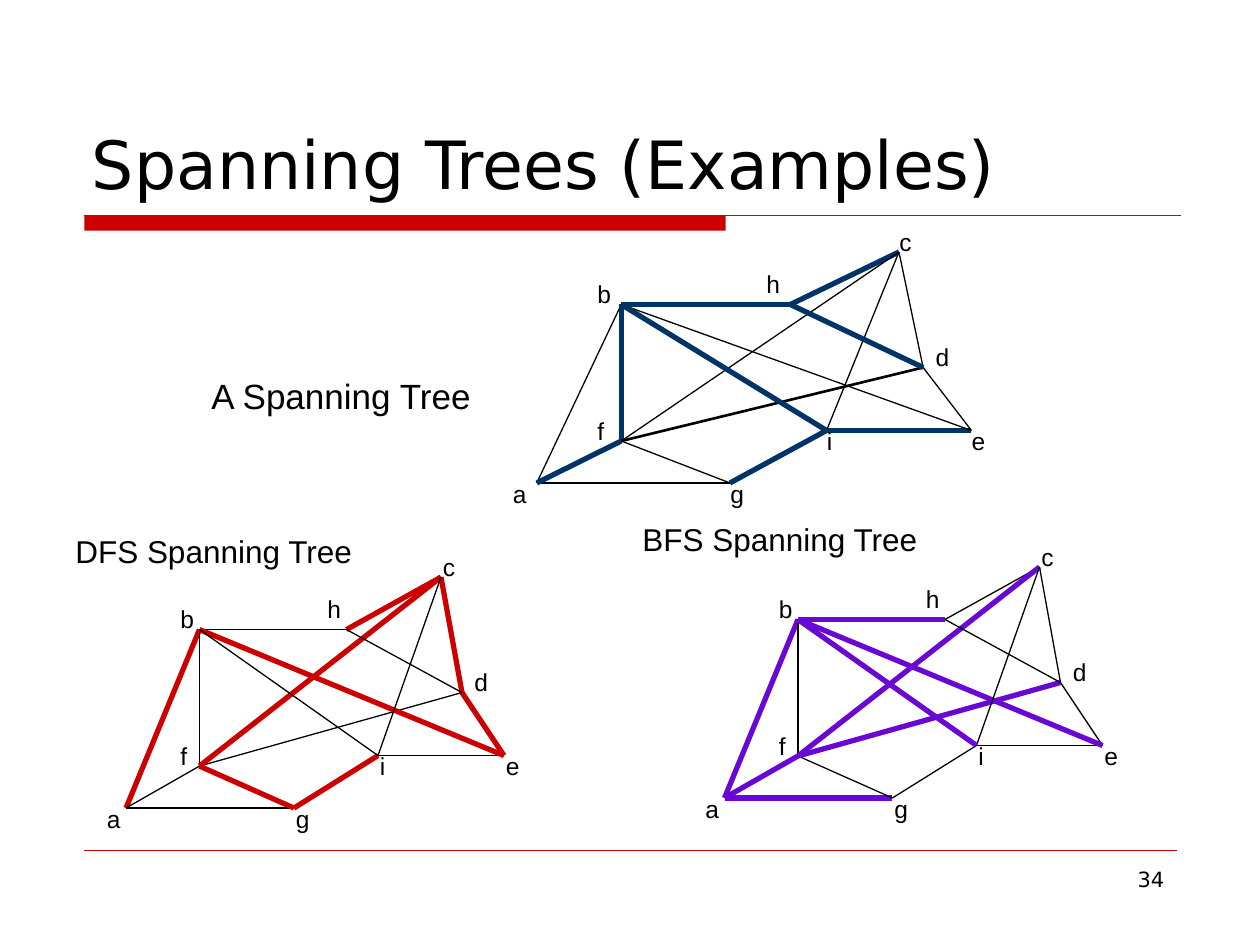
from lxml import etree
from pptx import Presentation
from pptx.dml.color import RGBColor
from pptx.enum.shapes import MSO_CONNECTOR, MSO_SHAPE
from pptx.enum.text import MSO_ANCHOR, MSO_AUTO_SIZE, PP_ALIGN
from pptx.oxml.ns import qn
from pptx.util import Inches, Pt

COLORS = {"black": "000000", "red": "CC0000", "navy": "003366", "violet": "6808D2"}

# Node -> position and label offset, in twelfths of an inch
UNIT = 1 / 12
NODES = {
    "a": ((0, 22), (-3, -1)),
    "b": ((7, 5), (-3, -3)),
    "f": ((7, 18), (-3, -3)),
    "g": ((16, 22), (-1, -1)),
    "h": ((21, 5), (-3, -4)),
    "i": ((24, 17), (-1, -1)),
    "c": ((30, 0), (-1, -3)),
    "e": ((36, 17), (-1, -1)),
    "d": ((32, 11), (0, -3)),
}
EDGES = "ab ag gi ie ed dc ch hb af fb fg fd fc be ci bi hd".split()
GRAPH_WIDTH = 36 * UNIT

# Graph box (left, top, width), tree colour, tree edges, caption, caption box, size
GRAPHS = [
    dict(box=(5.75, 4.5, 3), color="violet", tree="ab ag hb af fd fc be bi",
         caption="BFS Spanning Tree", caption_box=(5, 4.08, 2.67, 0.4), size=18),
    dict(box=(1, 4.58, 3), color="red", tree="ab gi ed dc ch fg fc be",
         caption="DFS Spanning Tree", caption_box=(0.5, 4.17, 2.67, 0.4), size=18),
    dict(box=(4.26, 2, 3.45), color="navy", tree="gi ie ch hb af fb bi hd",
         caption="A Spanning Tree", caption_box=(1.58, 2.92, 2.59, 0.44), size=20,
         edge_widths={"fd": 1.5}),
]


def rgb(name):
    return RGBColor.from_string(COLORS[name])


def write(frame, text, size, font="Arial", color="black", align=PP_ALIGN.LEFT,
          anchor=MSO_ANCHOR.TOP, auto_size=MSO_AUTO_SIZE.NONE):
    frame.word_wrap = True
    frame.auto_size = auto_size
    frame.vertical_anchor = anchor
    paragraph = frame.paragraphs[0]
    paragraph.text = text
    paragraph.alignment = align
    paragraph.font.size = Pt(size)
    paragraph.font.name = font
    paragraph.font.color.rgb = rgb(color)


def add_label(shapes, box, text, **text_format):
    label = shapes.add_textbox(*map(Inches, box))
    write(label.text_frame, text, **text_format)


def add_line(shapes, start, end, color, width):
    line = shapes.add_connector(MSO_CONNECTOR.STRAIGHT, *map(Inches, (*start, *end)))
    line.line.color.rgb = rgb(color)
    line.line.width = Pt(width)
    etree.SubElement(line._element.spPr, qn("a:effectLst"))


def add_header(slide, box):
    left, top, width, height = box
    # Heavy bar under the first part of the thin rule
    rule_top = 1.71
    bar = slide.shapes.add_shape(
        MSO_SHAPE.RECTANGLE, *map(Inches, (0.67, rule_top, 5.09, 0.12)))
    bar.shadow.inherit = False
    bar.fill.solid()
    bar.fill.fore_color.rgb = rgb("red")
    bar.line.fill.background()
    add_line(slide.shapes, (0.67, rule_top), (9.37, rule_top), "red", 0.75)

    title = slide.shapes.title
    title.left, title.top = Inches(left), Inches(top)
    title.width, title.height = Inches(width), Inches(height)
    write(title.text_frame, "Spanning Trees (Examples)", size=38,
          font="DejaVu Sans", anchor=MSO_ANCHOR.BOTTOM)


def add_footer(slide, box):
    left, top, width, height = box
    add_line(slide.shapes, (left, top), (left + width, top), "red", 0.25)
    number_width = 2.17
    add_label(slide.shapes,
              (left + width - number_width, top + 0.08, number_width, height),
              "34", size=12, font="DejaVu Sans", align=PP_ALIGN.RIGHT)


def add_graph(slide, box, color, tree, caption, caption_box, size, edge_widths=None):
    left, top, width = box
    stretch = width / GRAPH_WIDTH
    shapes = slide.shapes.add_group_shape().shapes
    fit = MSO_AUTO_SIZE.SHAPE_TO_FIT_TEXT

    def locate(x, y):
        return left + x * UNIT * stretch, top + y * UNIT

    # Edges, with those of the tree heavy and coloured
    tree_edges = tree.split()
    for edge in EDGES:
        start, end = (locate(*NODES[node][0]) for node in edge)
        if edge in tree_edges:
            add_line(shapes, start, end, color, 3)
        else:
            add_line(shapes, start, end, "black", (edge_widths or {}).get(edge, 0.75))

    # Node letters and caption
    for node, ((x, y), (dx, dy)) in NODES.items():
        add_label(shapes, (*locate(x + dx, y + dy), 4 * UNIT * stretch, 0.34),
                  node, size=14, auto_size=fit)
    add_label(shapes, caption_box, caption, size=size, auto_size=fit)


def main():
    deck = Presentation()
    deck.slide_width, deck.slide_height = Inches(10), Inches(7.5)
    slide = deck.slides.add_slide(deck.slide_layouts[5])
    add_header(slide, (0.63, 0.33, 8.75, 1.33))
    add_footer(slide, (0.67, 6.75, 8.67, 0.52))
    for graph in GRAPHS:
        add_graph(slide, **graph)
    deck.save("out.pptx")


if __name__ == "__main__":
    main()
